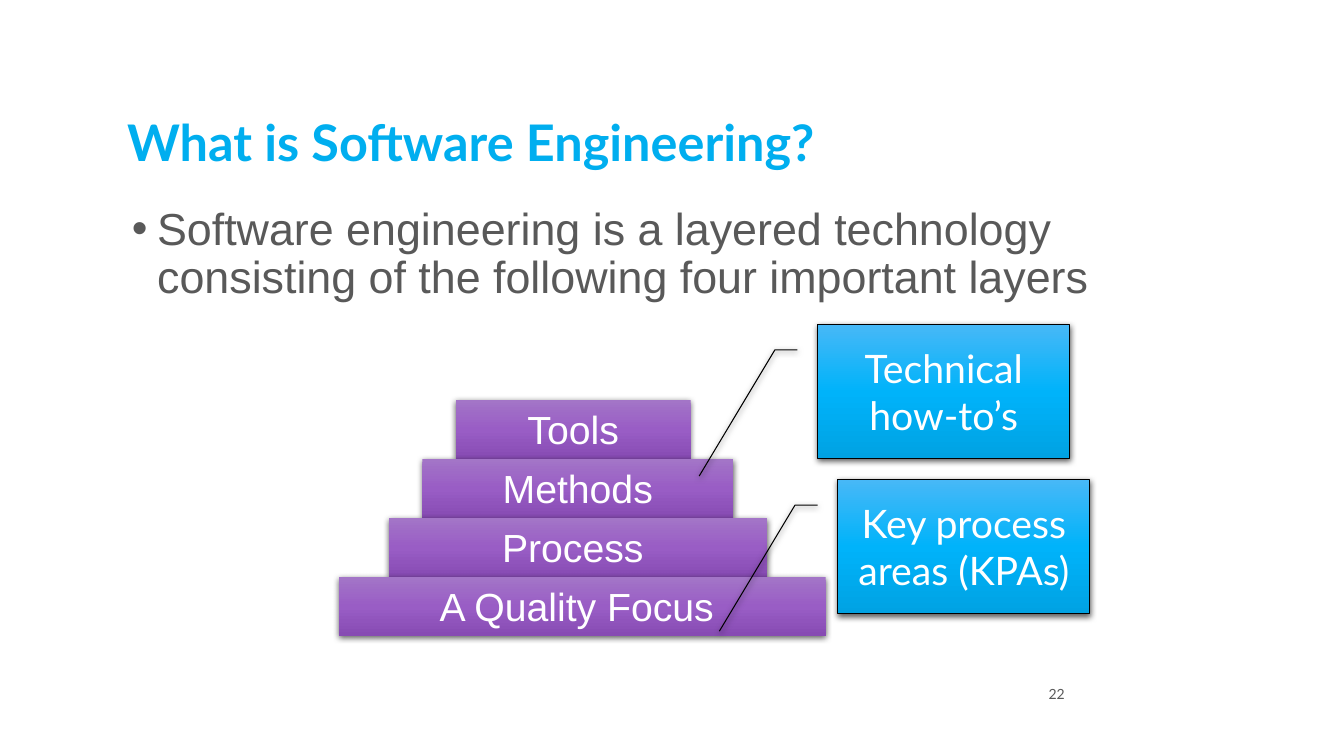
from copy import deepcopy
from dataclasses import dataclass

from lxml import etree
from pptx import Presentation
from pptx.dml.color import RGBColor
from pptx.enum.shapes import MSO_SHAPE
from pptx.enum.text import MSO_ANCHOR, MSO_AUTO_SIZE, PP_ALIGN
from pptx.oxml.ns import qn
from pptx.util import Inches, Pt

RECTANGLE = MSO_SHAPE.RECTANGLE
CALLOUT = MSO_SHAPE.LINE_CALLOUT_2
TOP, MIDDLE, BOTTOM = MSO_ANCHOR.TOP, MSO_ANCHOR.MIDDLE, MSO_ANCHOR.BOTTOM
LEFT, CENTER, RIGHT = PP_ALIGN.LEFT, PP_ALIGN.CENTER, PP_ALIGN.RIGHT
TITLE_ONLY = 5


@dataclass(frozen=True)
class Theme:
    heading_font: str = "Lato"
    body_font: str = "Arial"
    accent: str = "00AEEF"
    text: str = "595959"
    light: str = "FFFFFF"
    outline: str = "000000"
    layer_gradient: tuple = ("A375C7", "995DC5", "874BB3")
    callout_gradient: tuple = ("47B8F7", "00B3FA", "00A2E3")
    title_size: int = 36
    body_size: int = 32
    label_size: int = 28
    number_size: int = 10


THEME = Theme()

LAYER_TOP, LAYER_HEIGHT, LAYER_PITCH = 3.97, 0.58, 0.585
LAYERS = [  # label, left, width
    ("Tools", 4.52, 2.33),
    ("Methods", 4.19, 3.08),
    ("Process ", 3.86, 3.75),
    ("A Quality Focus ", 3.36, 4.83),
]
CALLOUTS = [  # label, left, top
    ("Key process areas (KPAs)", 8.31, 4.76),
    ("Technical how-to’s", 8.11, 3.22),
]
# Leader points as y, x fractions of the callout box
LEADER = (0.19, -0.08, 0.19, -0.17, 1.13, -0.47)


def place(shape, left, top, width, height):
    shape.left, shape.top = Inches(left), Inches(top)
    shape.width, shape.height = Inches(width), Inches(height)


def write(shape, text, size, color, font, align=LEFT, anchor=TOP, bold=False):
    frame = shape.text_frame
    frame.word_wrap = True
    frame.auto_size = MSO_AUTO_SIZE.NONE
    frame.vertical_anchor = anchor
    frame.text = text
    paragraph = frame.paragraphs[0]
    paragraph.alignment = align
    run_font = paragraph.runs[0].font
    run_font.name, run_font.size, run_font.bold = font, Pt(size), bold
    run_font.color.rgb = RGBColor.from_string(color)
    return paragraph


def fill_gradient(shape, colors):
    """Fill from top to bottom with three evenly spaced colours."""
    fill = shape.fill
    fill.gradient()
    fill.gradient_angle = 270
    stop_list = shape._element.spPr.find(qn("a:gradFill")).find(qn("a:gsLst"))
    stop_list.append(deepcopy(stop_list[0]))
    for index, (stop, color) in enumerate(zip(fill.gradient_stops, colors)):
        stop.position = index / 2
        stop.color.rgb = RGBColor.from_string(color)


def add_shadow(shape):
    shape.shadow.inherit = False
    effects = shape._element.spPr.find(qn("a:effectLst"))
    shadow = etree.SubElement(effects, qn("a:outerShdw"), blurRad=str(Pt(4.5)),
                              dist=str(Pt(1.5)), dir="5400000", rotWithShape="0")
    color = etree.SubElement(shadow, qn("a:srgbClr"), val=THEME.outline)
    etree.SubElement(color, qn("a:alpha"), val="63000")


def add_block(slide, kind, label, box, gradient, font, anchor):
    block = slide.shapes.add_shape(kind, *map(Inches, box))
    fill_gradient(block, gradient)
    block.line.fill.background()
    add_shadow(block)
    write(block, label, THEME.label_size, THEME.light, font, CENTER, anchor)
    return block


def add_layers(slide):
    for row, (label, left, width) in enumerate(LAYERS):
        box = (left, LAYER_TOP + row * LAYER_PITCH, width, LAYER_HEIGHT)
        add_block(slide, RECTANGLE, label, box, THEME.layer_gradient,
                  THEME.body_font, TOP)


def add_callouts(slide):
    for label, left, top in CALLOUTS:
        callout = add_block(slide, CALLOUT, label, (left, top, 2.5, 1.33),
                            THEME.callout_gradient, THEME.heading_font, MIDDLE)
        for index, value in enumerate(LEADER):
            callout.adjustments[index] = value
        callout.line.color.rgb = RGBColor.from_string(THEME.outline)
        callout.line.width = Pt(0.75)


def add_text(slide, box, *args, **kwargs):
    return write(slide.shapes.add_textbox(*map(Inches, box)), *args, **kwargs)


def add_bullet(paragraph):
    properties = paragraph._p.get_or_add_pPr()
    properties.set("marL", str(Inches(0.3)))
    properties.set("indent", str(Inches(-0.25)))
    color = etree.SubElement(properties, qn("a:buClr"))
    etree.SubElement(color, qn("a:srgbClr"), val=THEME.text)
    etree.SubElement(properties, qn("a:buFont"), typeface=THEME.body_font)
    etree.SubElement(properties, qn("a:buChar"), char="•")


def main():
    deck = Presentation()
    deck.slide_width, deck.slide_height = Inches(13.33), Inches(7.5)
    slide = deck.slides.add_slide(deck.slide_layouts[TITLE_ONLY])

    title = slide.shapes.title
    place(title, 1.16, 0.58, 10.22, 1.17)
    heading = write(title, "What is Software Engineering?", THEME.title_size,
                    THEME.accent, THEME.heading_font, anchor=BOTTOM, bold=True)
    heading.line_spacing = 0.8

    statement = add_text(
        slide, (1.16, 2, 10.22, 1.12),
        "Software engineering is a layered technology consisting of "
        "the following four important layers",
        THEME.body_size, THEME.text, THEME.body_font)
    add_bullet(statement)
    statement.line_spacing = 0.9

    add_layers(slide)
    add_callouts(slide)
    add_text(slide, (9.33, 6.73, 1.33, 0.3), "22", THEME.number_size,
             THEME.text, THEME.heading_font, RIGHT, MIDDLE)
    deck.save("out.pptx")


if __name__ == "__main__":
    main()
